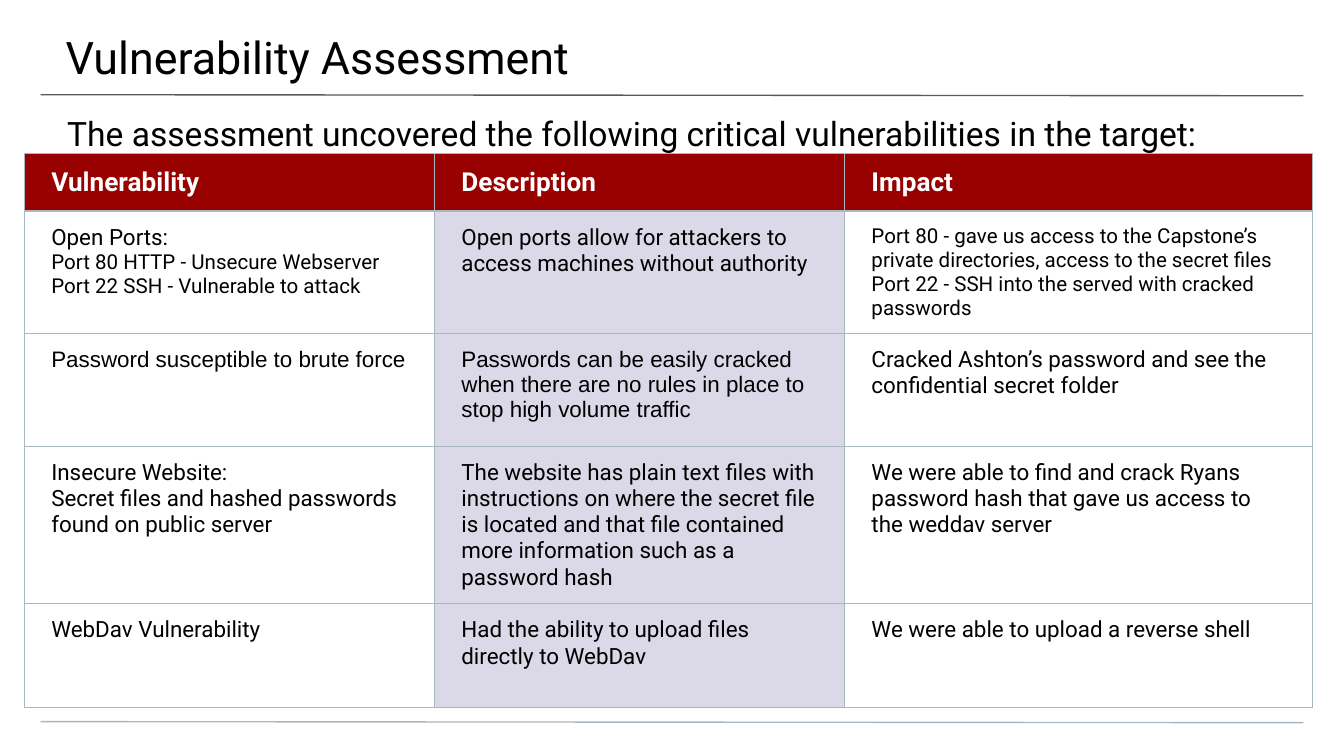
from collections import namedtuple

from lxml import etree
from pptx import Presentation
from pptx import util as u
from pptx.dml.color import RGBColor
from pptx.enum import shapes, text
from pptx.oxml import ns

BLACK = RGBColor(0x00, 0x00, 0x00)
WHITE = RGBColor(0xFF, 0xFF, 0xFF)
RED = RGBColor(0x99, 0x00, 0x00)
LILAC = RGBColor(0xDB, 0xD9, 0xE8)
GREY = RGBColor(0x59, 0x59, 0x59)
STEEL = RGBColor(0xA9, 0xB7, 0xC0)

Line = namedtuple("Line", "text size font", defaults=(12, "Roboto"))

HEADERS = ["Vulnerability", "Description", "Impact"]
FINDINGS = [
    [
        [Line("Open Ports:"),
         Line("Port 80 HTTP - Unsecure Webserver", 11),
         Line("Port 22 SSH - Vulnerable to attack", 11)],
        [Line("Open ports allow for attackers to access machines without authority")],
        [Line("Port 80 - gave us access to the Capstone’s private directories, "
              "access to the secret files", 11),
         Line("Port 22 - SSH into the served with cracked passwords", 11)],
    ],
    [
        [Line("Password susceptible to brute force", font="Arial")],
        [Line("Passwords can be easily cracked when there are no rules in place "
              "to stop high volume traffic", font="Arial")],
        [Line("Cracked Ashton’s password and see the confidential secret folder")],
    ],
    [
        [Line("Insecure Website:"),
         Line("Secret files and hashed passwords found on public server")],
        [Line("The website has plain text files with instructions on where the "
              "secret file is located and that file contained more information "
              "such as a password hash")],
        [Line("We were able to find and crack Ryans password hash that gave us "
              "access to the weddav server")],
    ],
    [
        [Line("WebDav Vulnerability")],
        [Line("Had the ability to upload files directly to WebDav")],
        [Line("We were able to upload a reverse shell")],
    ],
]
COLUMN_WIDTHS = [7.75, 7.75, 8.84]
ROW_HEIGHTS = [1.09, 2.13, 2.13, 2.13, 1.96]


class Deck:
    def __init__(self, width, height):
        self.prs = Presentation()
        self.prs.slide_width, self.prs.slide_height = u.Cm(width), u.Cm(height)
        self.s = self.prs.slides.add_slide(self.prs.slide_layouts[0])

    def fill_text(self, tf, lines, color, bold=False):
        for i, line in enumerate(lines):
            p = tf.add_paragraph() if i else tf.paragraphs[0]
            p.text = line.text
            p.alignment = text.PP_ALIGN.LEFT
            p.space_before = u.Pt(0)
            p.font.name, p.font.size = line.font, u.Pt(line.size)
            p.font.bold = bold
            p.font.color.rgb = color

    def placeholder(self, sp, box, insets, line):
        sp.left, sp.top, sp.width, sp.height = map(u.Cm, box)
        tf = sp.text_frame
        tf.word_wrap = True
        tf.auto_size = text.MSO_AUTO_SIZE.NONE
        tf.vertical_anchor = text.MSO_ANCHOR.TOP
        tf.margin_left, tf.margin_top, tf.margin_right, tf.margin_bottom = map(u.Cm, insets)
        self.fill_text(tf, [line], BLACK)

    def rule(self, y, color):
        sp = self.s.shapes.add_connector(
            shapes.MSO_CONNECTOR.STRAIGHT, u.Cm(0.77), u.Cm(y), u.Cm(24.63), u.Cm(y + 0.02))
        sp.line.color.rgb = color
        sp.line.width = u.Pt(0.75)
        etree.SubElement(sp._element.spPr, ns.qn("a:effectLst"))

    def border(self, cell, color):
        tcPr = cell._tc.get_or_add_tcPr()
        for i, side in enumerate(("a:lnL", "a:lnR", "a:lnT", "a:lnB")):
            ln = etree.Element(ns.qn(side), w=str(u.Pt(0.75)))
            fill = etree.SubElement(ln, ns.qn("a:solidFill"))
            etree.SubElement(fill, ns.qn("a:srgbClr"), val=str(color))
            tcPr.insert(i, ln)

    def cell(self, cell, lines, fill=None, header=False):
        cell.margin_left = cell.margin_right = u.Cm(0.51)
        cell.margin_top = cell.margin_bottom = u.Cm(0.25)
        cell.vertical_anchor = text.MSO_ANCHOR.MIDDLE if header else text.MSO_ANCHOR.TOP
        if fill is None:
            cell.fill.background()
        else:
            cell.fill.solid()
            cell.fill.fore_color.rgb = fill
        self.border(cell, STEEL)
        self.fill_text(cell.text_frame, lines, WHITE if header else BLACK, bold=header)

    def table(self, left, top, headers, rows):
        table = self.s.shapes.add_table(
            len(ROW_HEIGHTS), len(COLUMN_WIDTHS), u.Cm(left), u.Cm(top),
            u.Cm(sum(COLUMN_WIDTHS)), u.Cm(sum(ROW_HEIGHTS))).table
        table.first_row = table.horz_banding = False
        for column, width in zip(table.columns, COLUMN_WIDTHS):
            column.width = u.Cm(width)
        for row, height in zip(table.rows, ROW_HEIGHTS):
            row.height = u.Cm(height)
        for c, header in enumerate(headers):
            self.cell(table.cell(0, c), [Line(header, 14)], RED, header=True)
        for r, row in enumerate(rows, 1):
            for c, lines in enumerate(row):
                self.cell(table.cell(r, c), lines, LILAC if c == 1 else None)


def main():
    deck = Deck(25.4, 14.29)
    title, subtitle = deck.s.placeholders
    deck.rule(1.79, GREY)
    deck.rule(13.64, STEEL)
    deck.placeholder(title, (-0.03, 0, 25.48, 1.47), (1.27, 0.56, 0.76, 0.25),
                     Line("Vulnerability Assessment", 24))
    deck.placeholder(
        subtitle, (0, 1.88, 25.4, 1.02), (1.27, 0.25, 1.27, 0),
        Line("The assessment uncovered the following critical vulnerabilities in the target:", 18))
    deck.table(0.46, 2.9, HEADERS, FINDINGS)
    deck.prs.save("out.pptx")


if __name__ == "__main__":
    main()
